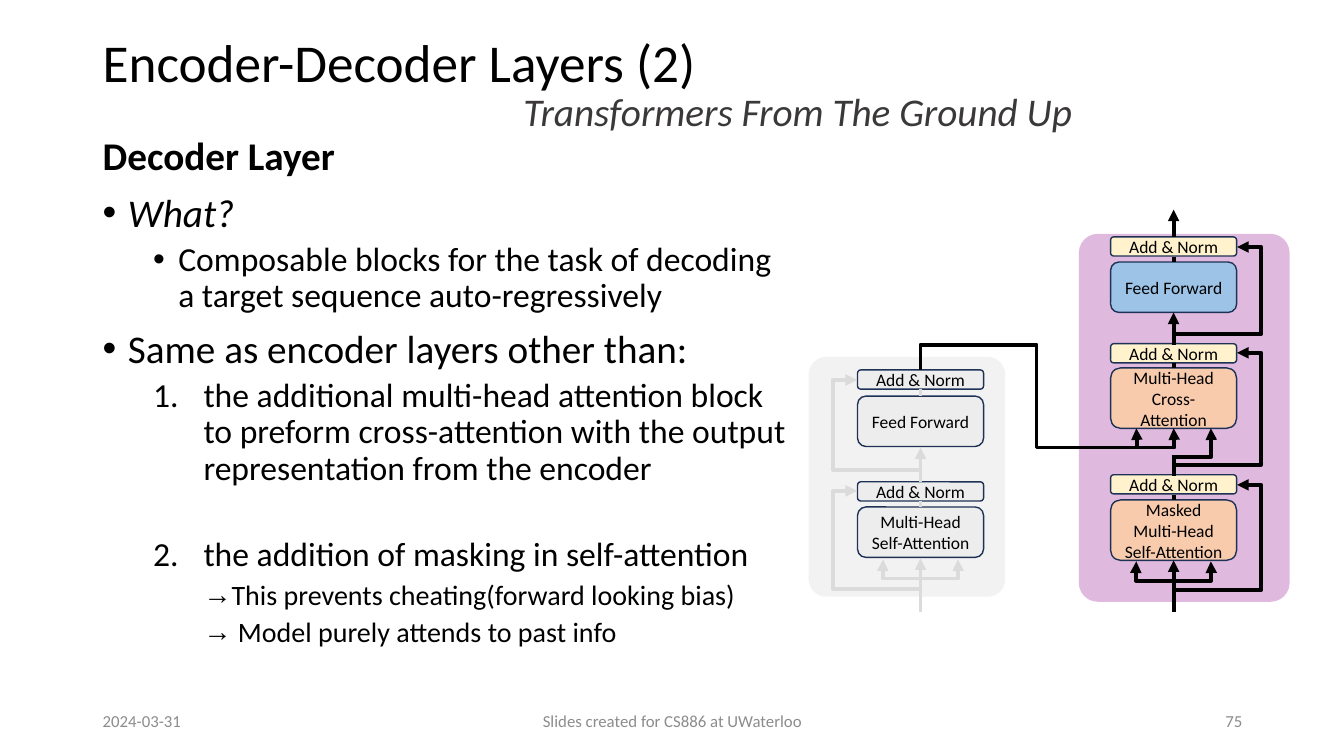
from dataclasses import dataclass
from typing import Optional

from lxml import etree
from pptx import Presentation
from pptx.dml.color import RGBColor
from pptx.enum.shapes import MSO_CONNECTOR, MSO_SHAPE
from pptx.enum.text import MSO_ANCHOR, PP_ALIGN
from pptx.oxml.ns import qn
from pptx.util import Inches, Pt

STRAIGHT, ELBOW = MSO_CONNECTOR.STRAIGHT, MSO_CONNECTOR.ELBOW
ROUNDED = MSO_SHAPE.ROUNDED_RECTANGLE
TOP, MIDDLE = MSO_ANCHOR.TOP, MSO_ANCHOR.MIDDLE
LEFT, CENTER, RIGHT = PP_ALIGN.LEFT, PP_ALIGN.CENTER, PP_ALIGN.RIGHT

COLORS = {
    "black": "000000", "subtitle": "3B3838", "footer": "8C8C8C",
    "decoder": "C175BF", "encoder": "E7E6E6", "outline": "1E3256",
    "norm": "FFF2CC", "attention": "F8CBAD", "feed": "9DC3E6",
    "faded": "EDEDED", "faded line": "DBDBDB",
}
Point = tuple[float, float]

ENCODER_X, DECODER_X = 9.13, 11.64  # centre lines of the two stacks
BLOCK_WIDTH, NORM_HEIGHT = 1.25, 0.19
SIDE_INPUT = 0.37  # distance of the outer attention inputs from the centre


@dataclass
class Block:
    text: str
    center: float
    top: float
    height: float
    color: str


@dataclass
class Wire:
    start: Point
    end: Point
    color: str = "black"
    arrow: bool = True
    lane: Optional[Point] = None  # x and y of the middle stretches


@dataclass
class BodyLine:
    text: str
    size: float
    before: float
    margin: float = 0
    indent: float = 0
    bullet: str = ""
    number: int = 0
    level: int = 0
    bold: bool = False
    italic: bool = False


BLOCKS = [
    Block("Add & Norm", ENCODER_X, 3.67, NORM_HEIGHT, "faded"),
    Block("Feed Forward", ENCODER_X, 3.93, 0.5, "faded"),
    Block("Add & Norm", ENCODER_X, 4.78, NORM_HEIGHT, "faded"),
    Block("Multi-Head Self-Attention", ENCODER_X, 5.03, 0.5, "faded"),
    Block("Add & Norm", DECODER_X, 2.35, NORM_HEIGHT, "norm"),
    Block("Feed Forward", DECODER_X, 2.6, 0.5, "feed"),
    Block("Add & Norm", DECODER_X, 3.41, NORM_HEIGHT, "norm"),
    Block("Multi-Head Cross-Attention", DECODER_X, 3.65, 0.6, "attention"),
    Block("Add & Norm", DECODER_X, 4.71, NORM_HEIGHT, "norm"),
    Block("Masked Multi-Head Self-Attention", DECODER_X, 4.96, 0.6, "attention"),
]


def upright(x: float, low: float, high: float, color: str, arrow: bool = True) -> Wire:
    return Wire((x, low), (x, high), color, arrow)


def skip(x: float, low: float, lane_y: float, high: float, side: int, color: str) -> Wire:
    """Residual path leaving the stack on one side and returning to a norm block."""
    return Wire((x, low), (x + side * 0.63, high), color, True, (x + side * 0.87, lane_y))


WIRES = [
    upright(ENCODER_X, 6.07, 5.54, "faded line"),
    upright(ENCODER_X, 4.78, 4.44, "faded line"),
    upright(ENCODER_X, 5.03, 4.97, "faded line", False),
    upright(ENCODER_X, 3.93, 3.86, "faded line", False),
    skip(ENCODER_X, 5.88, 5.84, 4.87, -1, "faded line"),
    skip(ENCODER_X, 4.65, 4.66, 3.77, -1, "faded line"),
    *(Wire((ENCODER_X, 5.74), (ENCODER_X + side * SIDE_INPUT, 5.55), "faded line")
      for side in (-1, 1)),
    upright(DECODER_X, 6.07, 5.56, "black"),
    upright(DECODER_X, 3.41, 3.1, "black"),
    upright(DECODER_X, 2.35, 2.08, "black"),
    *(upright(DECODER_X, low, high, "black", False)
      for low, high in ((4.96, 4.91), (4.72, 4.51), (3.65, 3.6), (2.6, 2.55))),
    skip(DECODER_X, 5.92, 5.85, 4.81, 1, "black"),
    skip(DECODER_X, 4.57, 4.61, 3.5, 1, "black"),
    skip(DECODER_X, 3.42, 3.31, 2.45, 1, "black"),
    *(Wire((DECODER_X, 5.76), (DECODER_X + side * SIDE_INPUT, 5.57)) for side in (-1, 1)),
    Wire((DECODER_X, 4.53), (DECODER_X + SIDE_INPUT, 4.25)),
    *(Wire((x - 0.59, 4.44), (x, 4.25)) for x in (DECODER_X - SIDE_INPUT, DECODER_X)),
    Wire((ENCODER_X, 3.67), (10.79, 4.44), arrow=False, lane=(10.28, 3.42)),
]

BODY = [
    BodyLine("Decoder Layer", 28, 0, bold=True),
    BodyLine("What?", 28, 10, 0.25, -0.25, "•", italic=True),
    BodyLine("Composable blocks for the task of decoding a target sequence auto-regressively",
             24, 5, 0.75, -0.25, "•", level=1),
    BodyLine("Same as encoder layers other than:", 28, 10, 0.25, -0.25, "•"),
    BodyLine("the additional multi-head attention block to preform cross-attention with "
             "the output representation from the encoder", 24, 5, 1, -0.5, number=1, level=1),
    BodyLine("the addition of masking in self-attention", 24, 36, 1, -0.5, number=2, level=1),
    BodyLine("This prevents cheating(forward looking bias)", 20, 5, 1.25, -0.25, "→", level=2),
    BodyLine(" Model purely attends to past info", 20, 5, 1.25, -0.25, "→", level=2),
]


def rgb(name: str) -> RGBColor:
    return RGBColor.from_string(COLORS[name])


def write(para, text: str, *, size: float, color: str = "black", align=LEFT,
          spacing: float = 1, before: float = 0, bold: bool = False,
          italic: bool = False) -> None:
    para.alignment, para.line_spacing, para.space_before = align, spacing, Pt(before)
    span = para.add_run()
    span.text = text
    font = span.font
    font.name, font.size, font.bold, font.italic = "Calibri", Pt(size), bold, italic
    font.color.rgb = rgb(color)


def add_text(page, left: float, top: float, width: float, height: float, anchor=MIDDLE):
    frame = page.shapes.add_textbox(*map(Inches, (left, top, width, height))).text_frame
    frame.word_wrap, frame.vertical_anchor = True, anchor
    return frame


def set_bullet(para, line: BodyLine) -> None:
    props = para._p.get_or_add_pPr()
    props.set("marL", str(Inches(line.margin)))
    props.set("indent", str(Inches(line.indent)))
    if line.bullet:
        etree.SubElement(props, qn("a:buFont"), typeface="Arial")
        etree.SubElement(props, qn("a:buChar"), char=line.bullet)
    elif line.number:
        etree.SubElement(props, qn("a:buAutoNum"), type="arabicPeriod",
                         startAt=str(line.number))


def add_box(page, left: float, top: float, width: float, height: float, color: str):
    box = page.shapes.add_shape(ROUNDED, *map(Inches, (left, top, width, height)))
    box.shadow.inherit = False
    box.fill.solid()
    box.fill.fore_color.rgb = rgb(color)
    return box


def add_panel(page, left: float, top: float, width: float, height: float, color: str) -> None:
    """Half-transparent backdrop of one layer."""
    panel = add_box(page, left, top, width, height, color)
    panel.adjustments[0] = 0.09
    panel.line.fill.background()
    fill_color = panel._element.spPr.find(f".//{qn('a:srgbClr')}")
    etree.SubElement(fill_color, qn("a:alpha"), val="50000")


def add_block(page, block: Block) -> None:
    box = add_box(page, block.center - BLOCK_WIDTH / 2, block.top, BLOCK_WIDTH,
                  block.height, block.color)
    box.line.color.rgb, box.line.width = rgb("outline"), Pt(1)
    box.text_frame.word_wrap, box.text_frame.vertical_anchor = True, MIDDLE
    write(box.text_frame.paragraphs[0], block.text, size=12.5, align=CENTER)


def bend(connector, preset: str, *adjusts: float) -> None:
    geometry = connector._element.spPr.find(qn("a:prstGeom"))
    geometry.set("prst", preset)
    guides = geometry.find(qn("a:avLst"))
    for number, value in enumerate(adjusts, 1):
        etree.SubElement(guides, qn("a:gd"), name=f"adj{number}",
                         fmla=f"val {round(value * 100000)}")


def add_wire(page, wire: Wire) -> None:
    (x1, y1), (x2, y2) = wire.start, wire.end
    across, down = x2 - x1, y2 - y1
    points = (x1, y1, x2, y2)
    if wire.lane:  # turned a quarter: the frame's width runs along the page's height
        left, top = (x1 + x2 - abs(down)) / 2, (y1 + y2 - abs(across)) / 2
        points = (left, top, left + abs(down), top + abs(across))
    connector = page.shapes.add_connector(ELBOW if across else STRAIGHT, *map(Inches, points))
    if wire.lane:
        frame = connector._element.spPr.find(qn("a:xfrm"))
        frame.set("rot", str(270 * 60000))
        frame.set("flipH", str(int(down > 0)))
        frame.set("flipV", str(int(across < 0)))
        lane_x, lane_y = wire.lane
        bend(connector, "bentConnector4", (lane_y - y1) / down, (lane_x - x1) / across)
    elif across:
        bend(connector, "bentConnector3", 1.01)
    connector.line.color.rgb, connector.line.width = rgb(wire.color), Pt(2.75)
    if wire.arrow:
        etree.SubElement(connector.line._get_or_add_ln(), qn("a:tailEnd"), type="triangle")
    etree.SubElement(connector._element.spPr, qn("a:effectLst"))


def main() -> None:
    deck = Presentation()
    deck.slide_width, deck.slide_height = Inches(13.33), Inches(7.5)
    page = deck.slides.add_slide(deck.slide_layouts[6])
    write(add_text(page, 0.92, 0.15, 11.5, 0.99).paragraphs[0],
          "Encoder-Decoder Layers (2)", size=38, spacing=0.9)
    write(add_text(page, 0.99, 0.78, 9.74, 0.69).paragraphs[0],
          "Transformers From The Ground Up", size=28, color="subtitle", align=RIGHT,
          spacing=0.9, italic=True)
    for left, width, align, text in ((0.92, 3, LEFT, "2024-03-31"),
                                     (4.42, 4.5, CENTER, "Slides created for CS886 at UWaterloo"),
                                     (9.42, 3, RIGHT, "75")):
        write(add_text(page, left, 6.95, width, 0.4).paragraphs[0], text, size=12,
              color="footer", align=align)
    body = add_text(page, 0.92, 1.31, 6.99, 5.38, TOP)
    for index, line in enumerate(BODY):
        para = body.add_paragraph() if index else body.paragraphs[0]
        para.level = line.level
        set_bullet(para, line)
        write(para, line.text, size=line.size, spacing=0.9, before=line.before,
              bold=line.bold, italic=line.italic)
    add_panel(page, 10.7, 2.32, 2.09, 3.65, "decoder")
    add_panel(page, 8.02, 3.54, 1.95, 2.38, "encoder")
    for block in BLOCKS:
        add_block(page, block)
    for wire in WIRES:
        add_wire(page, wire)
    deck.save("out.pptx")


if __name__ == "__main__":
    main()
